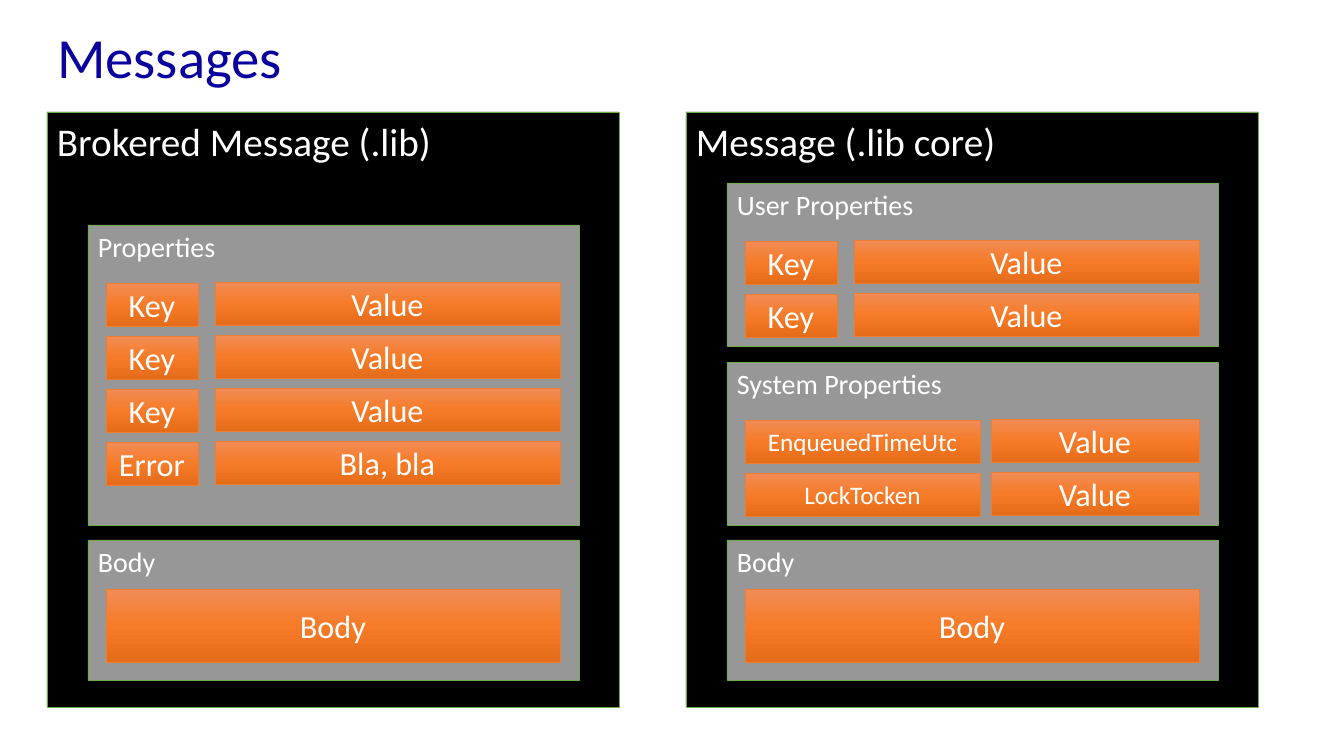
from copy import deepcopy

from lxml import etree
from pptx import Presentation
from pptx.dml.color import RGBColor
from pptx.enum.shapes import MSO_SHAPE
from pptx.enum.text import MSO_ANCHOR, MSO_AUTO_SIZE, PP_ALIGN
from pptx.oxml.ns import qn
from pptx.util import Pt

RECT = MSO_SHAPE.RECTANGLE
TOP, MIDDLE = MSO_ANCHOR.TOP, MSO_ANCHOR.MIDDLE
LEFT, CENTER = PP_ALIGN.LEFT, PP_ALIGN.CENTER
NO_FIT = MSO_AUTO_SIZE.NONE

PX = 914400 / 100.8
COLORS = {
    "title": "09009E", "text": "FFFFFF", "panel": "000000", "group": "E7E6E6",
    "green": "70AD47", "orange": "ED7D31",
}
ORANGE_STOPS = [(0, "F18C57"), (0.5, "F67B28"), (1, "E56C19")]
STYLES = {
    "panel": {"line": "green", "anchor": TOP, "align": LEFT, "size": 28},
    "group": {"line": "green", "anchor": TOP, "align": LEFT, "size": 20},
    "field": {"line": "orange", "anchor": MIDDLE, "align": CENTER, "size": 23},
}

PANEL_TOP, PANEL_W, PANEL_H = 112, 572, 595
GROUP_DX, GROUP_W = 41, 491
FIELD_DX, FIELD_W, FIELD_H = 59, 454, 43
ROW_DY, ROW_PITCH = 58, 53
BODY_TOP, BODY_H, BODY_FIELD_DY, BODY_FIELD_H = 540, 140, 49, 73

PANELS = [
    ("Brokered Message (.lib)", 47, [
        ("Properties", 225, 300, 92, 17, 23,
         [("Key", "Value"), ("Key", "Value"), ("Key", "Value"), ("Error", "Bla, bla")]),
    ]),
    ("Message (.lib core)", 686, [
        ("User Properties", 183, 163, 92, 17, 23, [("Key", "Value"), ("Key", "Value")]),
        ("System Properties", 362, 163, 235, 11, 18,
         [("EnqueuedTimeUtc", "Value"), ("LockTocken", "Value")]),
    ]),
]


def set_text(sp, text, size, color, anchor, align):
    tf = sp.text_frame
    frame_format = {"word_wrap": True, "auto_size": NO_FIT, "vertical_anchor": anchor}
    for name, value in frame_format.items():
        setattr(tf, name, value)
    p = tf.paragraphs[0]
    p.alignment = align
    r = p.add_run()
    r.text = text
    for name, value in {"name": "Calibri", "size": Pt(size), "bold": False}.items():
        setattr(r.font, name, value)
    r.font.color.rgb = RGBColor.from_string(COLORS[color])


def add_box(kind, text, x, y, w, h, size=None):
    style = STYLES[kind]
    sp = slide.shapes.add_shape(RECT, *(round(v * PX) for v in (x, y, w, h)))
    sp.shadow.inherit = False
    sp.line.color.rgb = RGBColor.from_string(COLORS[style["line"]])
    sp.line.width = Pt(0.5)
    if kind == "field":
        sp.fill.gradient()
        sp.fill.gradient_angle = 270
        stops = sp._element.spPr.find(qn("a:gradFill")).find(qn("a:gsLst"))
        stops.append(deepcopy(stops[-1]))
        for stop, (position, color) in zip(sp.fill.gradient_stops, ORANGE_STOPS):
            stop.position = position
            stop.color.rgb = RGBColor.from_string(color)
    else:
        sp.fill.solid()
        sp.fill.fore_color.rgb = RGBColor.from_string(COLORS[kind])
    if kind == "group":
        color = sp._element.spPr.find(qn("a:solidFill"))[0]
        etree.SubElement(color, qn("a:alpha"), val="66000")
    set_text(sp, text, size or style["size"], "text", style["anchor"], style["align"])


prs = Presentation()
prs.slide_width, prs.slide_height = round(1344 * PX), round(756 * PX)
slide = prs.slides.add_slide(prs.slide_layouts[5])

title = slide.shapes.title
for name, value in {"left": 47, "top": 19, "width": 922, "height": 83}.items():
    setattr(title, name, round(value * PX))
set_text(title, "Messages", 40.5, "title", MIDDLE, LEFT)
title.text_frame.paragraphs[0].line_spacing = 0.9

for heading, left, groups in PANELS:
    group_x, field_x = left + GROUP_DX, left + FIELD_DX
    add_box("panel", heading, left, PANEL_TOP, PANEL_W, PANEL_H)
    add_box("group", "Body", group_x, BODY_TOP, GROUP_W, BODY_H)
    add_box("field", "Body", field_x, BODY_TOP + BODY_FIELD_DY, FIELD_W, BODY_FIELD_H)
    for name, top, height, key_w, gap, key_size, rows in groups:
        add_box("group", name, group_x, top, GROUP_W, height)
        value_dx = key_w + gap
        for i, (key, value) in enumerate(rows):
            y = top + ROW_DY + i * ROW_PITCH
            add_box("field", key, field_x, y, key_w, FIELD_H, key_size)
            add_box("field", value, field_x + value_dx, y - 1, FIELD_W - value_dx, FIELD_H)

prs.save("out.pptx")
